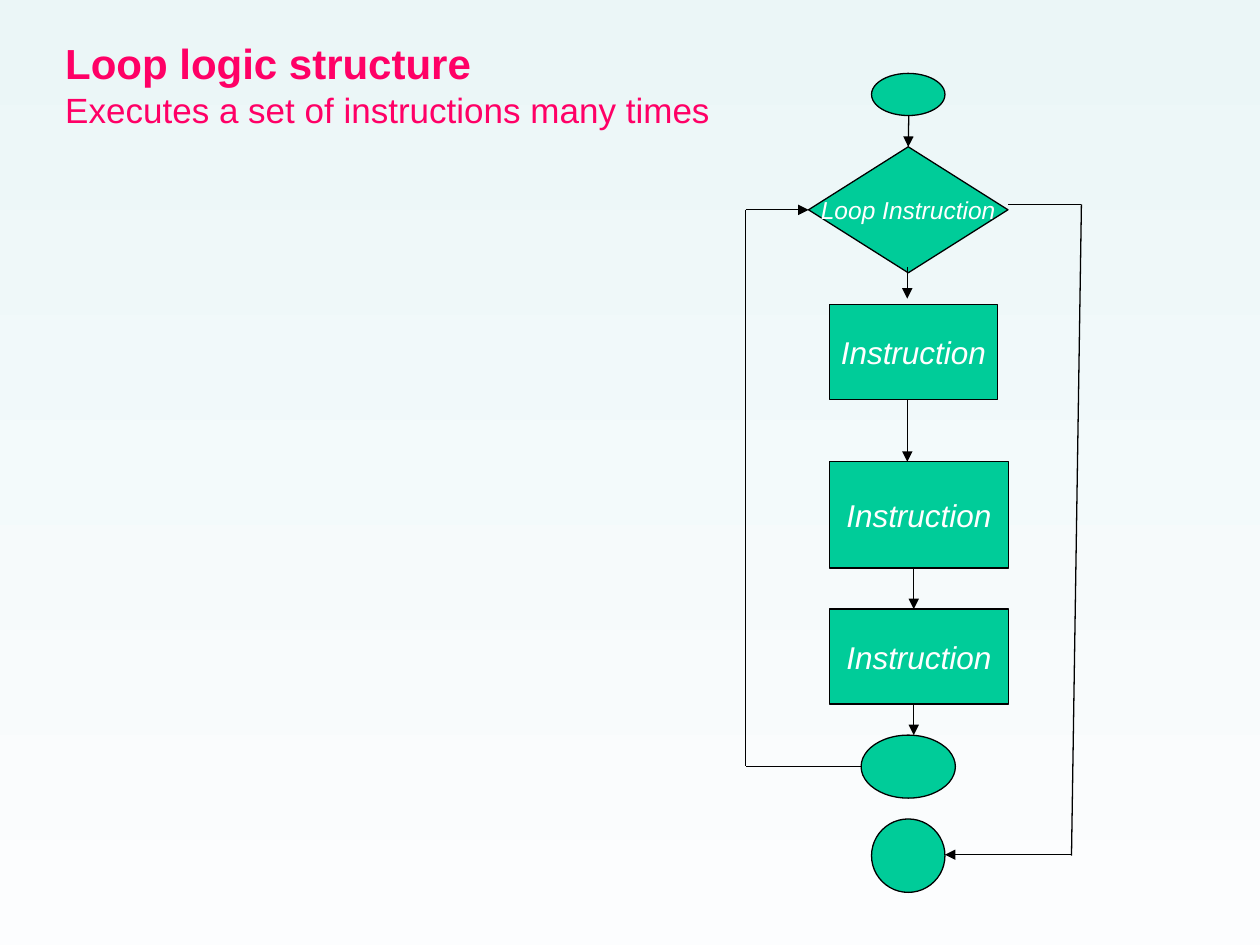
from dataclasses import dataclass

from lxml.etree import SubElement
from pptx import Presentation
from pptx.dml.color import RGBColor
from pptx.enum.shapes import MSO_CONNECTOR, MSO_SHAPE
from pptx.enum.text import MSO_ANCHOR, MSO_AUTO_SIZE, PP_ALIGN
from pptx.oxml.ns import qn
from pptx.util import Cm, Pt

COLORS = {
    "title": "FF0066",
    "node": "00CC99",
    "line": "000000",
    "label": "FFFFFF",
    "background_top": "EBF6F7",
    "background_bottom": "FCFDFE",
}
FONT = "Arial"
LINE_WIDTH = Pt(0.75)
OVAL = MSO_SHAPE.FLOWCHART_CONNECTOR
DECISION = MSO_SHAPE.FLOWCHART_DECISION
PROCESS = MSO_SHAPE.FLOWCHART_PROCESS
TOP, LEFT = 0, 1


@dataclass(frozen=True)
class Node:
    """A flowchart symbol; lengths in centimetres."""
    kind: MSO_SHAPE
    left: float
    top: float
    width: float
    height: float
    text: str = ""
    size: int = 18


@dataclass(frozen=True)
class Link:
    """A straight line; points in centimetres, end_node as (node name, side)."""
    start: tuple[float, float]
    end: tuple[float, float]
    arrow: bool = False
    end_node: tuple[str, int] | None = None


NODES = {
    "start": Node(OVAL, 17.57, 1.48, 1.48, 0.85),
    "loop": Node(DECISION, 16.3, 2.96, 4.02, 2.54, "Loop Instruction", 14),
    "first": Node(PROCESS, 16.72, 6.14, 3.39, 1.91, "Instruction"),
    "second": Node(PROCESS, 16.72, 9.31, 3.61, 2.14, "Instruction"),
    "third": Node(PROCESS, 16.72, 12.28, 3.61, 1.91, "Instruction"),
    "repeat": Node(OVAL, 17.36, 14.82, 1.9, 1.27),
    "end": Node(OVAL, 17.57, 16.51, 1.48, 1.48),
}

LINKS = [
    # Main flow, downwards
    Link((18.32, 2.33), (18.31, 2.96), True, ("loop", TOP)),
    Link((18.29, 5.38), (18.29, 6.02), True),
    Link((18.29, 8.05), (18.29, 9.31), True),
    Link((18.42, 11.44), (18.42, 12.28), True),
    Link((18.42, 14.18), (18.42, 14.82), True),
    # Exit from the loop, on the right
    Link((20.32, 4.12), (21.8, 4.12)),
    Link((21.8, 4.12), (21.6, 17.25)),
    Link((21.6, 17.23), (19.05, 17.23), True),
    # Return to the loop, on the left
    Link((17.36, 15.45), (15.03, 15.45)),
    Link((15.03, 4.23), (15.03, 15.45)),
    Link((15.03, 4.23), (16.3, 4.23), True, ("loop", LEFT)),
]


def rgb(name: str) -> RGBColor:
    return RGBColor.from_string(COLORS[name])


def write_text(paragraph, text: str, *, size: int, color: str,
               bold: bool = False, italic: bool = False,
               align: PP_ALIGN = PP_ALIGN.LEFT) -> None:
    paragraph.alignment = align
    run = paragraph.add_run()
    run.text = text
    font = run.font
    font.name, font.size = FONT, Pt(size)
    font.bold, font.italic = bold, italic
    font.color.rgb = rgb(color)


def paint_background(slide) -> None:
    fill = slide.background.fill
    fill.gradient()
    fill.gradient_angle = 270
    for stop, name in zip(fill.gradient_stops,
                          ("background_top", "background_bottom")):
        stop.color.rgb = rgb(name)


def write_title(slide) -> None:
    title = slide.shapes.title
    title.left, title.top = Cm(1.06), Cm(0.64)
    title.width, title.height = Cm(22.86), Cm(2.11)
    frame = title.text_frame
    frame.auto_size = MSO_AUTO_SIZE.NONE
    frame.vertical_anchor = MSO_ANCHOR.MIDDLE
    write_text(frame.paragraphs[0], "Loop logic structure",
               size=24, color="title", bold=True)
    write_text(frame.add_paragraph(),
               "Executes a set of instructions many times",
               size=20, color="title")


def draw_node(slide, node: Node):
    shape = slide.shapes.add_shape(node.kind, Cm(node.left), Cm(node.top),
                                   Cm(node.width), Cm(node.height))
    shape.shadow.inherit = False
    shape.fill.solid()
    shape.fill.fore_color.rgb = rgb("node")
    shape.line.color.rgb = rgb("line")
    shape.line.width = LINE_WIDTH
    if node.text:
        frame = shape.text_frame
        frame.word_wrap = False
        frame.vertical_anchor = MSO_ANCHOR.MIDDLE
        write_text(frame.paragraphs[0], node.text, size=node.size,
                   color="label", italic=True, align=PP_ALIGN.CENTER)
    return shape


def draw_link(slide, link: Link, shapes: dict) -> None:
    points = [Cm(value) for value in (*link.start, *link.end)]
    connector = slide.shapes.add_connector(MSO_CONNECTOR.STRAIGHT, *points)
    if link.end_node:
        name, side = link.end_node
        connector.end_connect(shapes[name], side)
    connector.line.color.rgb = rgb("line")
    connector.line.width = LINE_WIDTH
    if link.arrow:
        SubElement(connector.line._get_or_add_ln(), qn("a:tailEnd"),
                   type="triangle")
    SubElement(connector._element.spPr, qn("a:effectLst"))


def main() -> None:
    presentation = Presentation()
    presentation.slide_width, presentation.slide_height = Cm(25.4), Cm(19.05)
    slide = presentation.slides.add_slide(presentation.slide_layouts[5])
    paint_background(slide)
    write_title(slide)
    shapes = {name: draw_node(slide, node) for name, node in NODES.items()}
    for link in LINKS:
        draw_link(slide, link, shapes)
    presentation.save("out.pptx")


if __name__ == "__main__":
    main()
